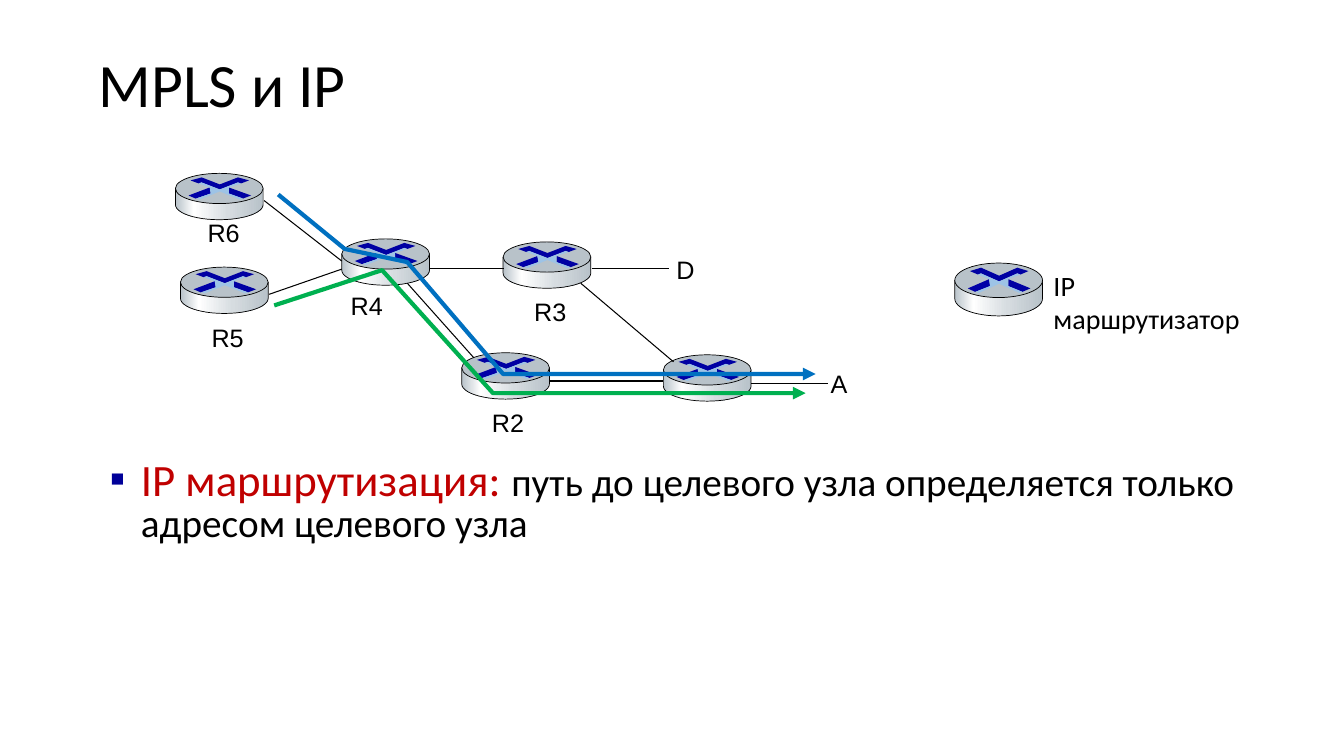
"""Builds the slide comparing MPLS and IP routing."""
from math import cos, pi, sin

from lxml import etree
from pptx import Presentation
from pptx import util as u
from pptx.dml.color import RGBColor
from pptx.enum import shapes, text
from pptx.oxml.ns import qn

ink = RGBColor.from_string

deck = Presentation()
deck.slide_width, deck.slide_height = u.Inches(13.33), u.Inches(7.5)
page = deck.slides.add_slide(deck.slide_layouts[6])


def draw_outline(canvas, points, fill=None, line=None, width=0.5, close=True):
    spots = [(u.Inches(x), u.Inches(y)) for x, y in points]
    builder = canvas.build_freeform(*spots[0], scale=1.0)
    builder.add_line_segments(spots[1:], close=close)
    shape = builder.convert_to_shape()
    shape.shadow.inherit = False
    if fill:
        shape.fill.solid()
        shape.fill.fore_color.rgb = ink(fill)
    else:
        shape.fill.background()
    if line:
        shape.line.color.rgb = ink(line)
        shape.line.width = u.Pt(width)
    else:
        shape.line.fill.background()
    return shape


def write(left, top, width, height, spans, font="Calibri", wrap=True):
    box = page.shapes.add_textbox(*map(u.Inches, (left, top, width, height)))
    box.text_frame.word_wrap = wrap
    para = box.text_frame.paragraphs[0]
    para.font.name = font
    for words, size, color in spans:
        span = para.add_run()
        span.text = words
        span.font.size = u.Pt(size)
        span.font.color.rgb = ink(color)
    return box


ROUTER_WIDTH, RIM_HEIGHT, BODY_DEPTH = 0.87, 0.3, 0.16
GLYPHS = [
    ("0000A3", [(0.62, 0.04), (0.73, 0.07), (0.65, 0.1), (0.62, 0.09), (0.44, 0.16),
                (0.26, 0.09), (0.23, 0.1), (0.15, 0.07), (0.26, 0.04), (0.44, 0.11)]),
    ("0000A3", [(0.53, 0.14), (0.75, 0.22), (0.67, 0.25), (0.53, 0.2)]),
    ("0000A8", [(0.34, 0.14), (0.35, 0.2), (0.2, 0.25), (0.13, 0.22)]),
    ("9DC3E6", [(0.23, 0.1), (0.26, 0.09), (0.44, 0.16), (0.62, 0.09), (0.65, 0.1),
                (0.53, 0.14), (0.53, 0.2), (0.67, 0.25), (0.64, 0.26), (0.44, 0.18),
                (0.24, 0.26), (0.21, 0.25), (0.35, 0.2), (0.34, 0.14)]),
]
METAL = [(0, "B8C2C9"), (21, "FFFFFF"), (60, "D6DCE0"), (100, "B8C2C9")]
ROUTERS = [(3.39, 2.37, 1), (4.99, 2.4, 1), (4.58, 3.5, 1), (6.58, 3.52, 1),
           (1.74, 1.72, 1), (1.79, 2.65, 1), (9.47, 2.61, 1.14)]

for left, top, stretch in ROUTERS:
    router = page.shapes.add_group_shape().shapes
    radius, rim = ROUTER_WIDTH / 2, RIM_HEIGHT * stretch
    waist, base = top + rim / 2, top + rim / 2 + BODY_DEPTH * stretch
    curve = [(left + radius + radius * cos(step * pi / 24),
              base + rim / 2 * sin(step * pi / 24)) for step in range(25)]
    body = draw_outline(router, [(left + ROUTER_WIDTH, waist), *curve, (left, waist)],
                        line="000000")
    body.fill.gradient()
    body.fill.gradient_angle = 0
    stops = body._element.spPr.find(qn("a:gradFill")).find(qn("a:gsLst"))
    for stop in list(stops):
        stops.remove(stop)
    for position, color in METAL:
        stop = etree.SubElement(stops, qn("a:gs"), pos=str(position * 1000))
        etree.SubElement(stop, qn("a:srgbClr"), val=color)
    lid = router.add_shape(shapes.MSO_SHAPE.OVAL, u.Inches(left), u.Inches(top),
                           u.Inches(ROUTER_WIDTH), u.Inches(rim))
    lid.shadow.inherit = False
    lid.fill.solid()
    lid.fill.fore_color.rgb = ink("B8C2C9")
    lid.line.color.rgb = ink("000000")
    lid.line.width = u.Pt(0.5)
    for color, points in GLYPHS:
        draw_outline(router, [(left + x, top + y * stretch) for x, y in points], color)

LINKS = [(2.62, 1.99, 3.39, 2.59), (2.67, 2.92, 3.39, 2.67), (4.27, 2.66, 5, 2.66),
         (4.04, 2.81, 4.7, 3.55), (5.45, 3.78, 6.58, 3.78), (5.76, 2.81, 6.68, 3.59),
         (7.45, 3.8, 8.21, 3.8), (5.87, 2.66, 6.64, 2.66)]
for ends in LINKS:
    link = page.shapes.add_connector(shapes.MSO_CONNECTOR.STRAIGHT, *map(u.Inches, ends))
    link.line.color.rgb = ink("000000")
    link.line.width = u.Pt(0.75)
    etree.SubElement(link._element.spPr, qn("a:effectLst"))

LABELS = [("R2", 4.78, 3.99, 0.52), ("D", 6.61, 2.47, 0.38), ("R3", 5.2, 2.89, 0.52),
          ("R5", 2, 3.15, 0.52), ("A", 8.14, 3.6, 0.37), ("R6", 1.96, 2.11, 0.52),
          ("R4", 3.38, 2.83, 0.52)]
for name, left, top, width in LABELS:
    write(left, top, width, 0.4, [(name, 18, "000000")], "Arial", wrap=False)

ROUTES = [("0070C0", [(2.76, 1.93), (3.42, 2.47), (4.04, 2.6), (4.99, 3.71), (8.09, 3.71)]),
          ("00B050", [(2.72, 3.03), (3.79, 2.68), (4.89, 3.9), (7.99, 3.9)])]
for color, points in ROUTES:
    route = draw_outline(page.shapes, points, line=color, width=3, close=False)
    etree.SubElement(route.line._get_or_add_ln(), qn("a:tailEnd"), type="triangle")

title = write(0.88, 0.38, 11.5, 0.98, [("MPLS и IP", 44, "000000")])
title.text_frame.vertical_anchor = text.MSO_ANCHOR.MIDDLE
title.text_frame.paragraphs[0].line_spacing = 0.9

write(10.35, 2.61, 2.32, 0.44, [("IP маршрутизатор", 20, "000000")])

summary = write(0.99, 4.51, 12.17, 0.62, [
    ("IP маршрутизация: ", 32, "C00000"),
    ("путь до целевого узла определяется только адресом целевого узла", 28, "000000")])
para = summary.text_frame.paragraphs[0]
para.line_spacing = 0.85
para.space_before = u.Pt(6)
layout = para._p.get_or_add_pPr()
layout.set("marL", str(u.Inches(0.31)))
layout.set("indent", str(u.Inches(-0.31)))
bullet = [etree.Element(qn("a:buClr")), etree.Element(qn("a:buFont"), typeface="Arial"),
          etree.Element(qn("a:buChar"), char="▪")]
etree.SubElement(bullet[0], qn("a:srgbClr"), val="000099")
for place, part in enumerate(bullet, start=2):
    layout.insert(place, part)

deck.save("out.pptx")
